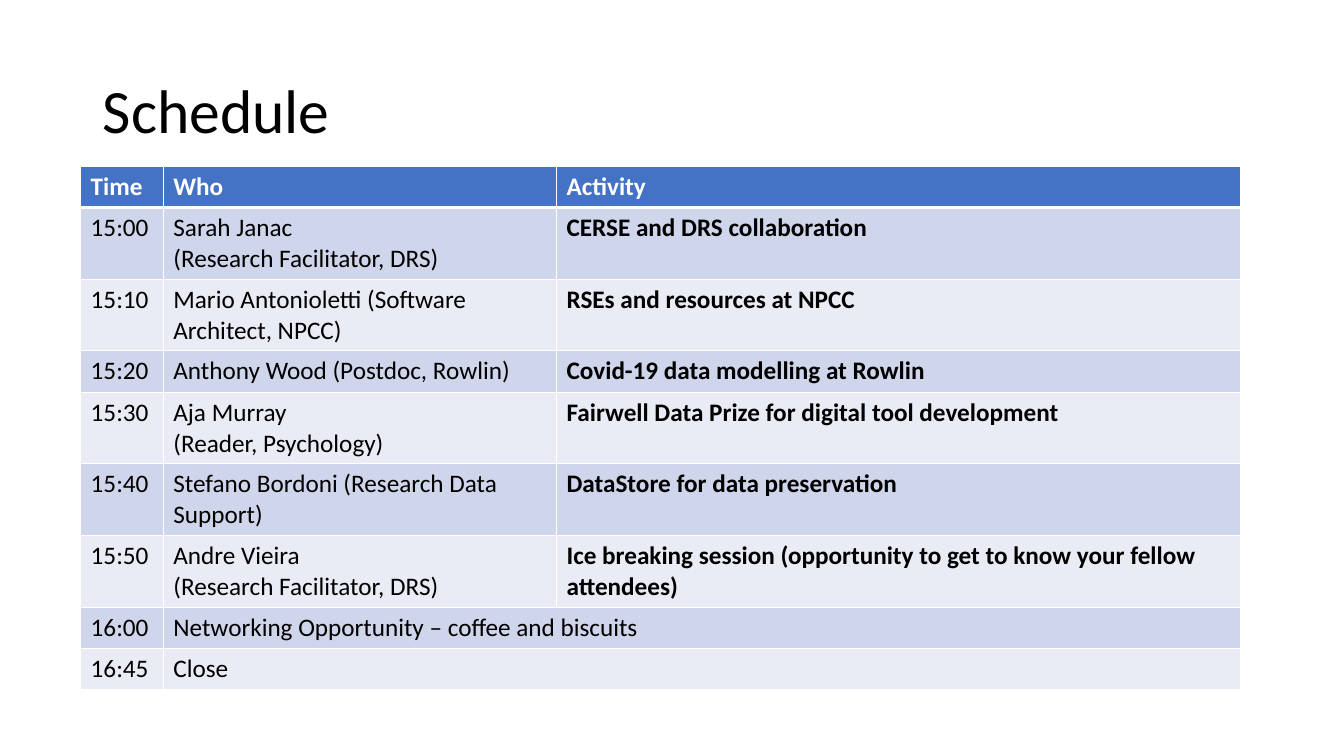
import pptx
import pptx.util
import pptx.dml.color
import pptx.enum.text
import pptx.oxml
import pptx.oxml.ns

Inches = pptx.util.Inches
Pt = pptx.util.Pt
COLOURS = {"header": "4472C4", "odd": "CFD5EA", "even": "E9EBF5",
           "light": "FFFFFF", "dark": "000000"}
SINGLE_LINE, DOUBLE_LINE = 0.41, 0.71
COLUMN_WIDTHS = [0.82, 3.9, 6.78]
SESSIONS = [
    (SINGLE_LINE, "Time", "Who", "Activity"),
    (DOUBLE_LINE, "15:00", "Sarah Janac\n(Research Facilitator, DRS)", "CERSE and DRS collaboration"),
    (DOUBLE_LINE, "15:10", "Mario Antonioletti (Software Architect, NPCC)", "RSEs and resources at NPCC"),
    (SINGLE_LINE, "15:20", "Anthony Wood (Postdoc, Rowlin)", "Covid-19 data modelling at Rowlin"),
    (DOUBLE_LINE, "15:30", "Aja Murray\n(Reader, Psychology)", "Fairwell Data Prize for digital tool development"),
    (DOUBLE_LINE, "15:40", "Stefano Bordoni (Research Data Support)", "DataStore for data preservation"),
    (DOUBLE_LINE, "15:50", "Andre Vieira\n(Research Facilitator, DRS)",
     "Ice breaking session (opportunity to get to know your fellow attendees)"),
    (SINGLE_LINE, "16:00", "Networking Opportunity – coffee and biscuits"),
    (SINGLE_LINE, "16:45", "Close"),
]


def style_text(text_frame, size, colour, bold):
    for paragraph in text_frame.paragraphs:
        for run in paragraph.runs:
            run.font.name = "Calibri"
            run.font.size = Pt(size)
            run.font.bold = bold
            run.font.color.rgb = pptx.dml.color.RGBColor.from_string(COLOURS[colour])


def add_borders(cell, widths):
    properties = cell._tc.get_or_add_tcPr()
    for position, (side, width) in enumerate(widths.items()):
        properties.insert(position, pptx.oxml.parse_xml(
            f'<a:{side} {pptx.oxml.ns.nsdecls("a")} w="{Pt(width)}"><a:solidFill>'
            f'<a:srgbClr val="{COLOURS["light"]}"/></a:solidFill></a:{side}>'))


presentation = pptx.Presentation()
presentation.slide_width = Inches(13.33)
presentation.slide_height = Inches(7.5)
slide = presentation.slides.add_slide(presentation.slide_layouts[5])

heading = slide.shapes.title
heading.left, heading.top = Inches(0.92), Inches(0.4)
heading.width, heading.height = Inches(11.5), Inches(1.45)
heading.text_frame.text = "Schedule"
heading.text_frame.vertical_anchor = pptx.enum.text.MSO_ANCHOR.MIDDLE
heading.text_frame.paragraphs[0].alignment = pptx.enum.text.PP_ALIGN.LEFT
heading.text_frame.paragraphs[0].line_spacing = 0.9
style_text(heading.text_frame, 44, "dark", False)

schedule = slide.shapes.add_table(
    len(SESSIONS), len(COLUMN_WIDTHS), Inches(0.8), Inches(1.65),
    Inches(sum(COLUMN_WIDTHS)), Inches(sum(session[0] for session in SESSIONS))).table
for column, width in zip(schedule.columns, COLUMN_WIDTHS):
    column.width = Inches(width)

for row, (height, *entries) in enumerate(SESSIONS):
    schedule.rows[row].height = Inches(height)
    is_header = row == 0
    fill = "header" if is_header else "odd" if row % 2 else "even"
    if len(entries) == 2:
        schedule.cell(row, 1).merge(schedule.cell(row, 2))
    for column, entry in enumerate(entries):
        cell = schedule.cell(row, column)
        cell.text_frame.text = entry
        style_text(cell.text_frame, 18, "light" if is_header else "dark", is_header or column == 2)
    for cell in schedule.rows[row].cells:
        cell.fill.solid()
        cell.fill.fore_color.rgb = pptx.dml.color.RGBColor.from_string(COLOURS[fill])
        add_borders(cell, {"lnL": 1, "lnR": 1, "lnT": 3 if row == 1 else 1,
                           "lnB": 3 if is_header else 1})

presentation.save("out.pptx")
